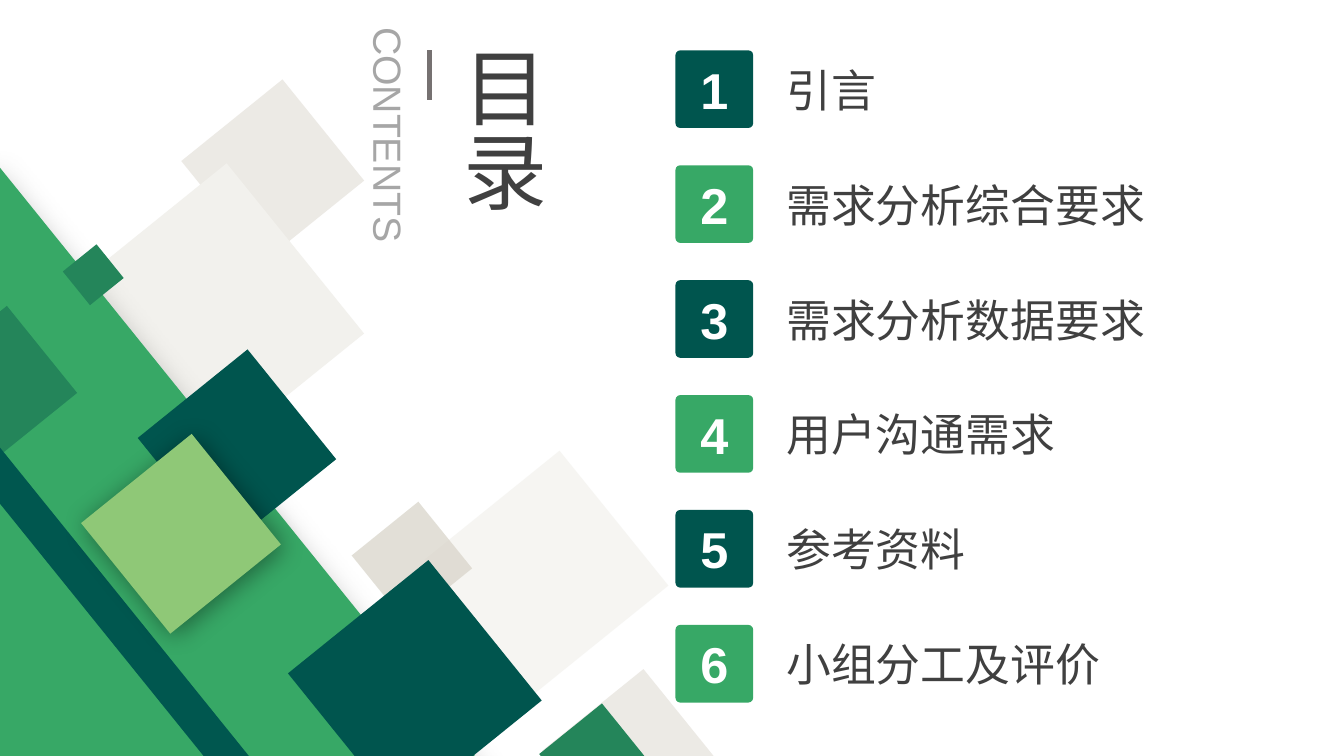
from pptx import Presentation, util as u
from pptx.dml.color import RGBColor
from pptx.enum import shapes, text
from pptx.oxml import ns, xmlchemy

DARK, GREEN, MID, LIME = "00554E", "37A866", "24855A", "8FC877"
STONE, PALE, SAND = "E7E4DD", "F2F1ED", "D8D4C9"
INK, GREY, RULE, WHITE = "404040", "A6A6A6", "767171", "FFFFFF"
TILT = 231.1


def color(value):
    return RGBColor.from_string(value)


def add_child(parent, tag, **attributes):
    child = xmlchemy.OxmlElement(tag)
    for name, value in attributes.items():
        child.set(name, str(value))
    parent.append(child)
    return child


class SlideBuilder:
    font = "Arial"

    def __init__(self, slide):
        self.slide = slide

    def add_words(self, shape, words, size, ink, bold=False,
                  align=text.PP_ALIGN.LEFT, anchor=text.MSO_ANCHOR.TOP):
        frame = shape.text_frame
        frame.word_wrap = True
        frame.auto_size = text.MSO_AUTO_SIZE.NONE
        frame.vertical_anchor = anchor
        paragraph = frame.paragraphs[0]
        paragraph.alignment = align
        run = paragraph.add_run()
        run.text = words
        run.font.name = self.font
        run.font.size = u.Pt(size)
        run.font.bold = bold
        run.font.color.rgb = color(ink)

    def title(self, words, left, top, width, height):
        shape = self.slide.shapes.title
        shape.left, shape.top = u.Inches(left), u.Inches(top)
        shape.width, shape.height = u.Inches(width), u.Inches(height)
        self.add_words(shape, words, 60, INK)
        shape.text_frame._txBody.bodyPr.set("vert", "eaVert")

    def label(self, words, left, top, width, height, size, ink, rotation=0):
        shape = self.slide.shapes.add_textbox(
            u.Inches(left), u.Inches(top), u.Inches(width), u.Inches(height))
        shape.rotation = rotation
        self.add_words(shape, words, size, ink)

    def block(self, kind, left, top, width, height, fill):
        shape = self.slide.shapes.add_shape(
            kind, u.Inches(left), u.Inches(top), u.Inches(width), u.Inches(height))
        shape.shadow.inherit = False
        shape.fill.solid()
        shape.fill.fore_color.rgb = color(fill)
        shape.line.fill.background()
        return shape

    def tilted(self, left, top, width, height, fill, opacity=100, shadow=None):
        shape = self.block(shapes.MSO_SHAPE.RECTANGLE, left, top, width, height, fill)
        shape.rotation = TILT
        properties = shape._element.spPr
        if opacity < 100:
            add_child(properties.find(".//" + ns.qn("a:srgbClr")), "a:alpha",
                      val=opacity * 1000)
        if shadow:
            blur, distance, direction = shadow
            outer = add_child(properties.find(ns.qn("a:effectLst")), "a:outerShdw",
                              blurRad=u.Pt(blur), dist=u.Pt(distance),
                              dir=direction * 60000, algn="ctr", rotWithShape=0)
            add_child(add_child(outer, "a:srgbClr", val="000000"), "a:alpha", val=40000)

    def badge(self, number, left, top, side, fill):
        shape = self.block(shapes.MSO_SHAPE.ROUNDED_RECTANGLE, left, top, side, side, fill)
        shape.adjustments[0] = 0.06
        self.add_words(shape, number, 36, WHITE, True,
                       text.PP_ALIGN.CENTER, text.MSO_ANCHOR.MIDDLE)

    def rule(self, x, top, bottom):
        line = self.slide.shapes.add_connector(
            shapes.MSO_CONNECTOR.STRAIGHT,
            u.Inches(x), u.Inches(top), u.Inches(x), u.Inches(bottom))
        line.line.color.rgb = color(RULE)
        line.line.width = u.Pt(3)
        add_child(line._element.spPr, "a:effectLst")


presentation = Presentation()
presentation.slide_width, presentation.slide_height = u.Inches(13.33), u.Inches(7.5)
builder = SlideBuilder(presentation.slides.add_slide(presentation.slide_layouts[5]))

for left, top, side, fill, opacity in [
    (2.06, 1.05, 1.29, STONE, 76),
    (1, 2.06, 2.17, PALE, 100),
    (5.64, 6.9, 1.29, STONE, 76),
    (4.56, 4.82, 1.72, PALE, 67),
    (3.66, 5.15, 0.85, SAND, 73),
]:
    builder.tilted(left, top, side, side, fill, opacity)

builder.tilted(-3.92, 4.68, 10.39, 4.85, GREEN, shadow=(27, 16, 90))
for left, top, side, fill in [
    (5.51, 7.14, 0.8, MID),
    (1.65, 3.75, 1.4, DARK),
    (-0.57, 3.26, 1.11, MID),
    (0.71, 2.51, 0.43, MID),
]:
    builder.tilted(left, top, side, side, fill)
builder.tilted(-3.8, 6.57, 10.87, 0.35, "00574F")
builder.tilted(1.09, 4.59, 1.41, 1.41, LIME, shadow=(18, 3, 45))
builder.tilted(3.22, 5.92, 1.79, 1.79, DARK)

builder.title("目录", 4.37, 0.4, 1.21, 1.95)
builder.label("CONTENTS", 2.58, 1.16, 2.55, 0.57, 28, GREY, rotation=90)
builder.rule(4.26, 0.5, 0.99)

CHAPTERS = ["引言", "需求分析综合要求", "需求分析数据要求",
            "用户沟通需求", "参考资料", "小组分工及评价"]
FIRST_TOP, PITCH = 0.5, 1.14
for index, chapter in enumerate(CHAPTERS):
    top = FIRST_TOP + index * PITCH
    builder.badge(str(index + 1), 6.7, top, 0.77, (DARK, GREEN)[index % 2])
    builder.label(chapter, 7.7, top + 0.07, 4.4, 0.64, 32, INK)

presentation.save("out.pptx")
